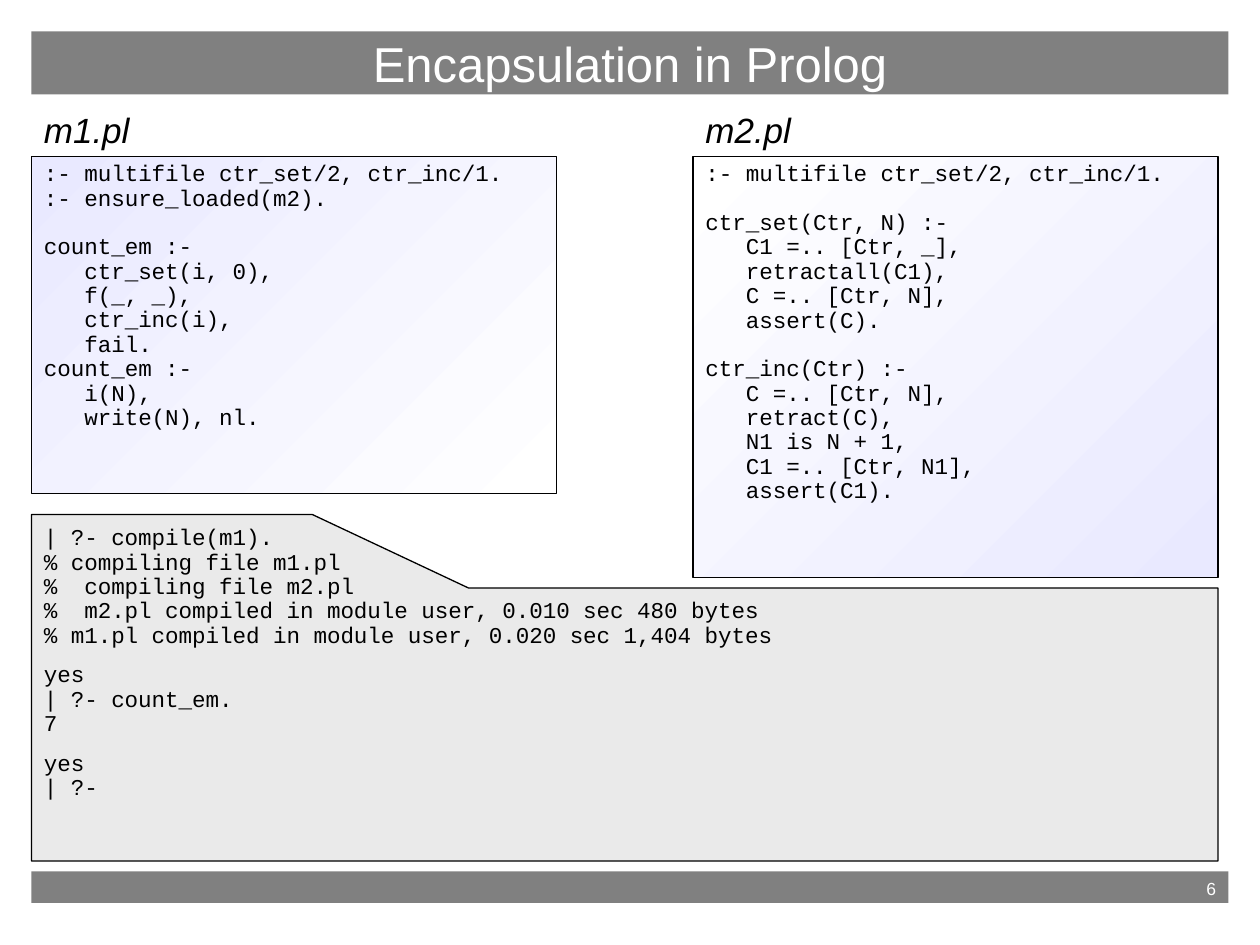
"""Builds the slide on encapsulation in Prolog: two source files and a console session."""
from copy import deepcopy
from dataclasses import dataclass
from typing import Any, Optional

from pptx import Presentation
from pptx.dml.color import RGBColor
from pptx.enum.shapes import MSO_SHAPE
from pptx.enum.text import MSO_ANCHOR, PP_ALIGN
from pptx.oxml.ns import qn
from pptx.util import Pt

RECTANGLE = MSO_SHAPE.RECTANGLE
TOP, MIDDLE = MSO_ANCHOR.TOP, MSO_ANCHOR.MIDDLE
LEFT, CENTER, RIGHT = PP_ALIGN.LEFT, PP_ALIGN.CENTER, PP_ALIGN.RIGHT

PX = 9525
COLORS = {
    "bar": "808080",
    "console": "EAEAEA",
    "lavender": "E9E9FF",
    "white": "FFFFFF",
    "black": "000000",
}
FONTS = {
    "title": {"name": "Arial", "size": Pt(28)},
    "number": {"name": "Arial", "size": Pt(10)},
    "label": {"name": "Arial", "size": Pt(20), "italic": True},
    "code": {"name": "Courier New", "size": Pt(12.92)},
}
CODE_SPACING = {"line_spacing": 0.9, "alignment": LEFT}

MARGIN = 24
BAR_WIDTH = 912
FILE_TOP, FILE_WIDTH = 119, 400
LABEL_TOP, LABEL_WIDTH, LABEL_HEIGHT = 78, 88, 42
CONSOLE_TOP, CONSOLE_WIDTH, CONSOLE_HEIGHT = 392, 904, 264
CONSOLE_RIGHT = MARGIN + CONSOLE_WIDTH
CONSOLE_BOTTOM = CONSOLE_TOP + CONSOLE_HEIGHT
CONSOLE_OUTLINE = [
    (MARGIN, CONSOLE_BOTTOM),
    (CONSOLE_RIGHT, CONSOLE_BOTTOM),
    (CONSOLE_RIGHT, 448),
    (357, 448),
    (238, CONSOLE_TOP),
]


@dataclass
class Bar:
    top: int
    height: int
    text: str
    font: str
    alignment: Any
    anchor: Any


@dataclass
class SourceFile:
    name: str
    left: int
    height: int
    gradient: tuple[str, str]
    code: str


BARS = [
    Bar(664, 24, "6", "number", RIGHT, TOP),
    Bar(24, 48, "Encapsulation in Prolog", "title", CENTER, MIDDLE),
]

SOURCE_FILES = [
    SourceFile("m1.pl", MARGIN, 257, ("white", "lavender"), """\
:- multifile ctr_set/2, ctr_inc/1.
:- ensure_loaded(m2).

count_em :-
   ctr_set(i, 0),
   f(_, _),
   ctr_inc(i),
   fail.
count_em :-
   i(N),
   write(N), nl."""),
    SourceFile("m2.pl", 528, 321, ("lavender", "white"), """\
:- multifile ctr_set/2, ctr_inc/1.

ctr_set(Ctr, N) :-
   C1 =.. [Ctr, _],
   retractall(C1),
   C =.. [Ctr, N],
   assert(C).

ctr_inc(Ctr) :-
   C =.. [Ctr, N],
   retract(C),
   N1 is N + 1,
   C1 =.. [Ctr, N1],
   assert(C1)."""),
]

SESSION = [
    """\
| ?- compile(m1).
% compiling file m1.pl
%  compiling file m2.pl
%  m2.pl compiled in module user, 0.010 sec 480 bytes
% m1.pl compiled in module user, 0.020 sec 1,404 bytes""",
    "yes\n| ?- count_em.\n7",
    "yes\n| ?-",
]


def color(name: str) -> RGBColor:
    return RGBColor.from_string(COLORS[name])


def box(left: int, top: int, width: int, height: int) -> list[int]:
    return [value * PX for value in (left, top, width, height)]


def set_values(target: Any, values: dict[str, Any]) -> None:
    for name, value in values.items():
        setattr(target, name, value)


def write(shape: Any, texts: list[str], font: str, ink: str,
          spacing: dict[str, Any], frame: dict[str, Any]) -> None:
    text_frame = shape.text_frame
    set_values(text_frame, {"word_wrap": True, "vertical_anchor": TOP, **frame})
    for index, text in enumerate(texts):
        paragraph = text_frame.add_paragraph() if index else text_frame.paragraphs[0]
        paragraph.text = text
        set_values(paragraph, spacing)
        if index:
            paragraph.space_before = Pt(8.8)
        for run in paragraph.runs:
            set_values(run.font, FONTS[font])
            run.font.color.rgb = color(ink)
        for line_break in paragraph._p.findall(qn("a:br")):
            line_break.append(deepcopy(paragraph.runs[0].font._rPr))


def outline(shape: Any, ink: Optional[str]) -> None:
    shape.shadow.inherit = False
    if ink is None:
        shape.line.fill.background()
    else:
        shape.line.color.rgb = color(ink)
        shape.line.width = Pt(0.75)


def draw_bar(slide: Any, bar: Bar) -> None:
    shape = slide.shapes.add_shape(RECTANGLE, *box(MARGIN, bar.top, BAR_WIDTH, bar.height))
    shape.fill.solid()
    shape.fill.fore_color.rgb = color("bar")
    outline(shape, None)
    write(shape, [bar.text], bar.font, "white", {"alignment": bar.alignment},
          {"vertical_anchor": bar.anchor})


def draw_source_file(slide: Any, source: SourceFile) -> None:
    shape = slide.shapes.add_shape(
        RECTANGLE, *box(source.left, FILE_TOP, FILE_WIDTH, source.height))
    shape.fill.gradient()
    shape.fill.gradient_angle = 135
    for stop, name in zip(shape.fill.gradient_stops, source.gradient):
        stop.color.rgb = color(name)
    outline(shape, "black")
    write(shape, [source.code], "code", "black", CODE_SPACING, {})
    label = slide.shapes.add_textbox(*box(source.left, LABEL_TOP, LABEL_WIDTH, LABEL_HEIGHT))
    write(label, [source.name], "label", "black", {"alignment": LEFT},
          {"vertical_anchor": MIDDLE})


def draw_console(slide: Any) -> None:
    builder = slide.shapes.build_freeform(MARGIN, CONSOLE_TOP, scale=PX)
    builder.add_line_segments(CONSOLE_OUTLINE, close=True)
    panel = builder.convert_to_shape()
    panel.fill.solid()
    panel.fill.fore_color.rgb = color("console")
    outline(panel, "black")
    session = slide.shapes.add_textbox(
        *box(MARGIN, CONSOLE_TOP, CONSOLE_WIDTH, CONSOLE_HEIGHT))
    write(session, SESSION, "code", "black", CODE_SPACING,
          {"margin_top": 9 * PX, "margin_bottom": 9 * PX})


def main() -> None:
    presentation = Presentation()
    presentation.slide_width, presentation.slide_height = 960 * PX, 720 * PX
    slide = presentation.slides.add_slide(presentation.slide_layouts[6])
    for bar in BARS:
        draw_bar(slide, bar)
    draw_console(slide)
    for source in SOURCE_FILES:
        draw_source_file(slide, source)
    presentation.save("out.pptx")


if __name__ == "__main__":
    main()
